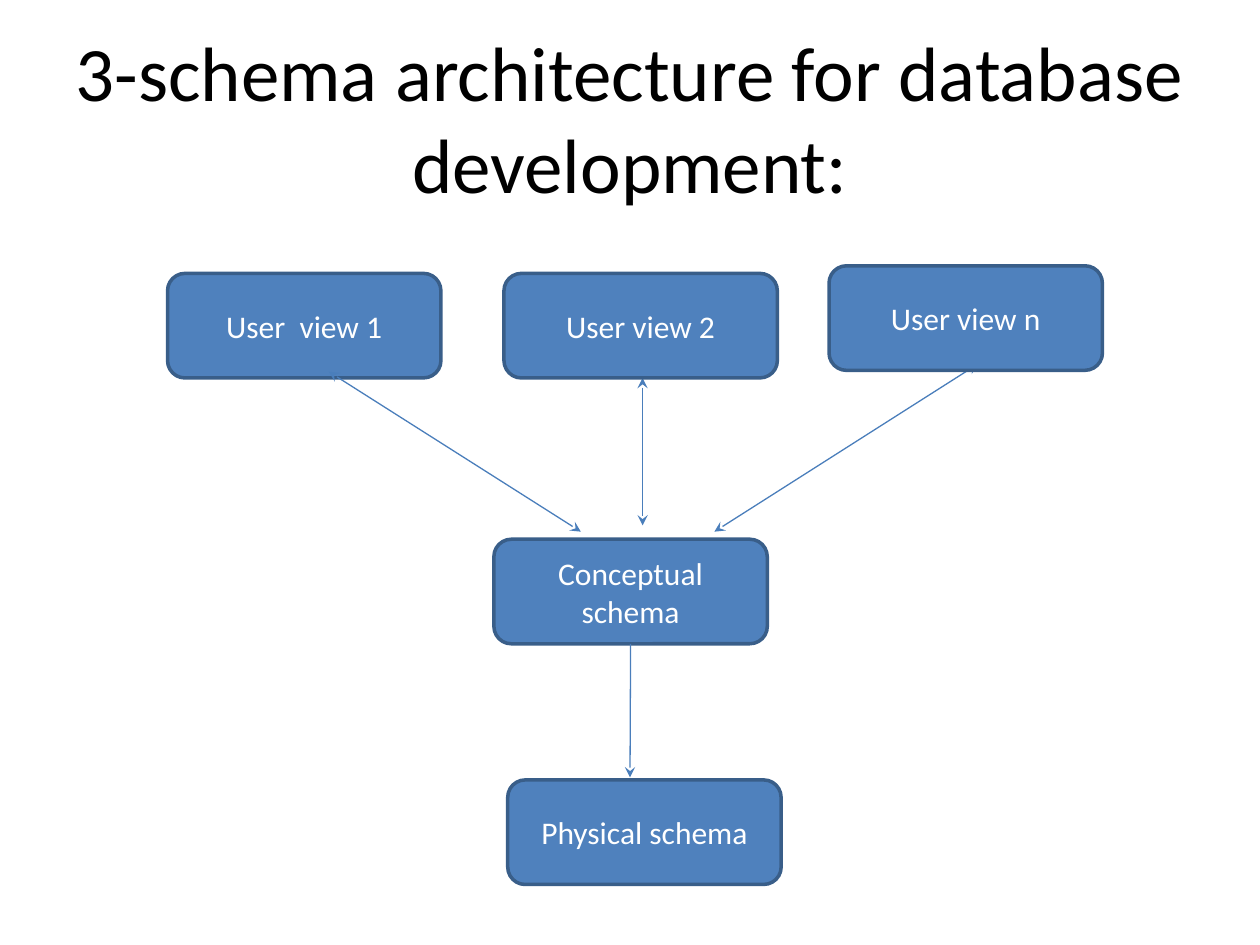
from lxml.etree import SubElement
from pptx import Presentation
from pptx.dml.color import RGBColor
from pptx.enum.shapes import MSO_CONNECTOR, MSO_SHAPE
from pptx.enum.text import MSO_ANCHOR, PP_ALIGN
from pptx.oxml.ns import qn
from pptx.util import Inches, Pt

COLORS = {"title": "000000", "label": "FFFFFF", "fill": "4F81BD",
          "border": "395E89", "arrow": "4A7EBB"}
BOX_WIDTH, BOX_HEIGHT = 2.17, 0.83


def color(name):
    return RGBColor.from_string(COLORS[name])


def write_centred(shape, text, size, color_name):
    frame = shape.text_frame
    frame.word_wrap = True
    frame.vertical_anchor = MSO_ANCHOR.MIDDLE
    para = frame.paragraphs[0]
    para.text = text
    para.alignment = PP_ALIGN.CENTER
    para.font.name = "Calibri"
    para.font.size = Pt(size)
    para.font.color.rgb = color(color_name)


def add_title(page, left, top, width, height):
    box = page.shapes.add_textbox(Inches(left), Inches(top), Inches(width), Inches(height))
    write_centred(box, "3-schema architecture for database development:", 44, "title")


def add_schema_box(page, text, left, top):
    box = page.shapes.add_shape(MSO_SHAPE.ROUNDED_RECTANGLE, Inches(left), Inches(top),
                                Inches(BOX_WIDTH), Inches(BOX_HEIGHT))
    box.shadow.inherit = False
    box.fill.solid()
    box.fill.fore_color.rgb = color("fill")
    box.line.color.rgb = color("border")
    box.line.width = Pt(2)
    write_centred(box, text, 18, "label")
    return box


def add_arrow(page, start, end, two_way=True):
    arrow = page.shapes.add_connector(MSO_CONNECTOR.STRAIGHT,
                                      *(Inches(value) for value in start + end))
    arrow.line.color.rgb = color("arrow")
    arrow.line.width = Pt(0.75)
    line = arrow.line._get_or_add_ln()
    for tag in ("a:headEnd", "a:tailEnd") if two_way else ("a:tailEnd",):
        SubElement(line, qn(tag), type="stealth")
    SubElement(arrow._element.spPr, qn("a:effectLst"))
    return arrow


def add_diagram(page, left, top):
    """Place three user views above the conceptual and physical schemas."""
    view_top = top + 0.06
    view_bottom = view_top + BOX_HEIGHT
    add_schema_box(page, "User  view 1", left, view_top)

    view_arrows = [
        ((left + 3.77, view_bottom), (left + 3.77, top + 2.06)),
        ((left + 1.28, view_bottom - 0.05), (left + 3.28, top + 2.11)),
        ((left + 6.43, top + 0.78), (left + 4.34, top + 2.11)),
    ]
    for start, end in view_arrows:
        add_arrow(page, start, end)

    add_schema_box(page, "User view 2", left + 2.67, view_top)
    add_schema_box(page, "User view n", left + 5.25, top)
    conceptual = add_schema_box(page, "Conceptual schema", left + 2.59, top + 2.17)
    add_schema_box(page, "Physical schema", left + 2.7, top + 4.08)

    middle = left + 3.67
    down = add_arrow(page, (middle, top + 3), (middle, top + 4.06), two_way=False)
    down.begin_connect(conceptual, 2)


def main():
    deck = Presentation()
    deck.slide_width, deck.slide_height = Inches(10), Inches(7.5)
    page = deck.slides.add_slide(deck.slide_layouts[6])
    add_title(page, 0.5, 0.3, 9, 1.25)
    add_diagram(page, 1.33, 2.11)
    deck.save("out.pptx")


if __name__ == "__main__":
    main()
